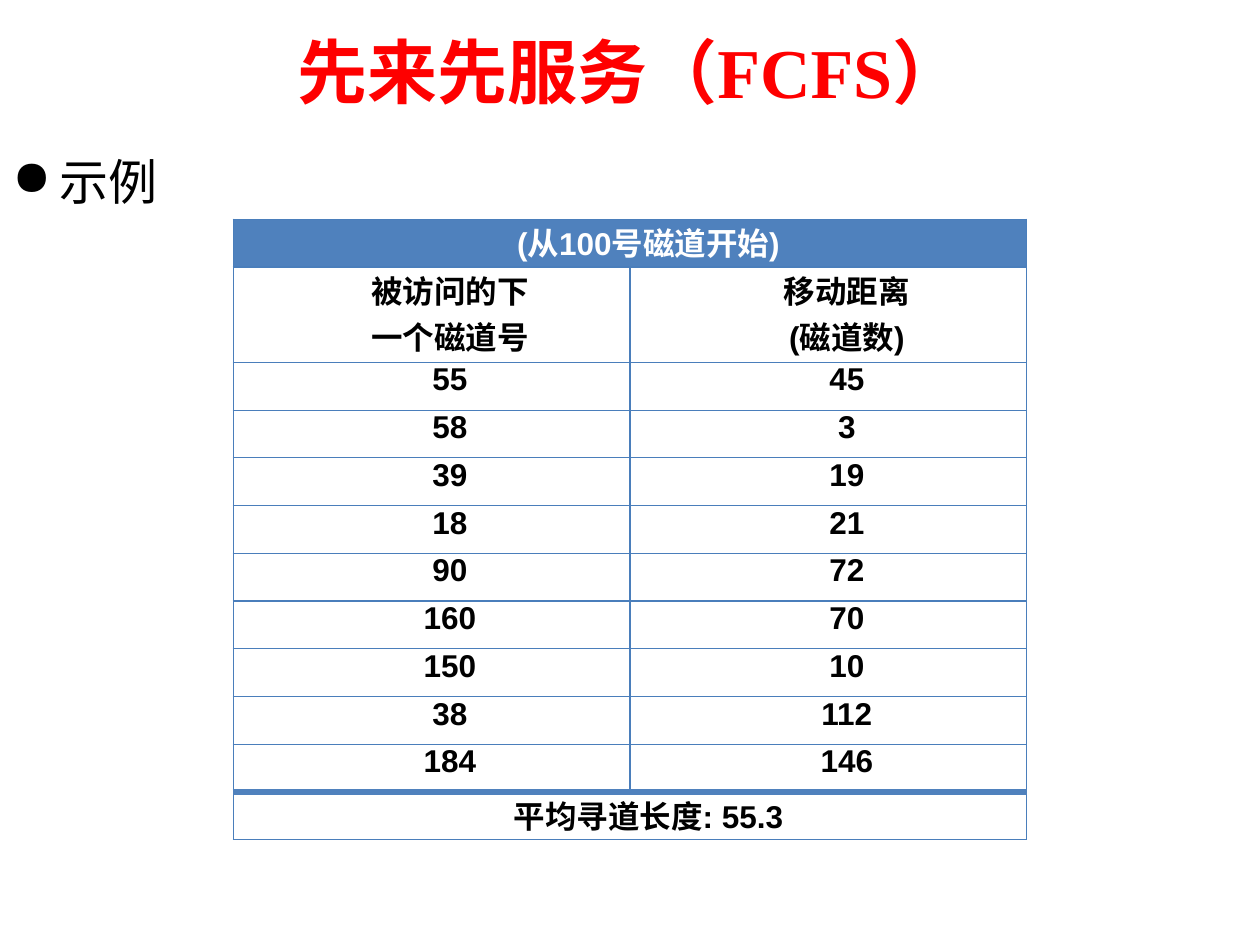
from lxml import etree
from pptx import Presentation
from pptx.dml.color import RGBColor
from pptx.enum import text
from pptx.oxml import ns
from pptx.util import Pt

COLORS = {"title": "FE0000", "ink": "000000", "header": "4F81BD",
          "header_text": "FFFFFF", "grid": "4A7EBB"}


def style(paragraph, size, font, color, bold):
    for run in paragraph.runs:
        run.font.size = Pt(size)
        run.font.name = font
        run.font.bold = bold
        run.font.color.rgb = RGBColor.from_string(COLORS[color])


def add_border(cell, position, side, color, width):
    props = cell._tc.get_or_add_tcPr()
    line = etree.Element(ns.qn(f"a:ln{side}"), w=str(Pt(width)))
    fill = etree.SubElement(line, ns.qn("a:solidFill"))
    etree.SubElement(fill, ns.qn("a:srgbClr"), val=COLORS[color])
    props.insert(position, line)


prs = Presentation()
prs.slide_width, prs.slide_height = Pt(720), Pt(540)
slide = prs.slides.add_slide(prs.slide_layouts[6])

title = slide.shapes.add_textbox(Pt(36), Pt(3.6), Pt(648), Pt(73.4)).text_frame
title.word_wrap = True
title.vertical_anchor = text.MSO_ANCHOR.MIDDLE
title.text = "先来先服务（FCFS）"
title.paragraphs[0].alignment = text.PP_ALIGN.CENTER
style(title.paragraphs[0], 40, "Times New Roman", "title", True)

example = slide.shapes.add_textbox(Pt(0), Pt(82.8), Pt(720), Pt(399.6)).text_frame
example.word_wrap = True
example.text = "示例"
bullet = example.paragraphs[0]
bullet.space_before, bullet.space_after = Pt(5.6), Pt(2.8)
style(bullet, 28, "Times New Roman", "ink", False)
bullet_props = bullet._p.get_or_add_pPr()
bullet_props.set("marL", str(Pt(27)))
bullet_props.set("indent", str(Pt(-27)))
etree.SubElement(bullet_props, ns.qn("a:buChar"), char="●")

seeks = [(55, 45), (58, 3), (39, 19), (18, 21), (90, 72),
         (160, 70), (150, 10), (38, 112), (184, 146)]
rows = [("(从100号磁道开始)", ""),
        ("被访问的下\n一个磁道号", "移动距离\n(磁道数)"),
        *seeks,
        ("平均寻道长度: 55.3", "")]
last = len(rows) - 1
row_height = 27.28

table = slide.shapes.add_table(len(rows), 2, Pt(133.2), Pt(125.3),
                               Pt(453.6), Pt(row_height * (len(rows) + 1))).table
table.horz_banding = False
for r, values in enumerate(rows):
    table.rows[r].height = Pt(row_height * (2 if r == 1 else 1))
    for c, value in enumerate(values):
        cell = table.cell(r, c)
        cell.margin_left = cell.margin_right = Pt(5)
        cell.margin_top = cell.margin_bottom = Pt(0)
        cell.text_frame.text = str(value)
        for paragraph in cell.text_frame.paragraphs:
            paragraph.alignment = text.PP_ALIGN.CENTER
            paragraph._p.get_or_add_pPr().set("marL", "0")
            paragraph._p.get_or_add_pPr().set("indent", str(Pt(21)))
            style(paragraph, 18, "Arial", "ink" if r else "header_text", True)
        if r == 0:
            cell.fill.solid()
            cell.fill.fore_color.rgb = RGBColor.from_string(COLORS["header"])
        else:
            cell.fill.background()
        for position, side in enumerate("LRTB"):
            thick = (r, side) in ((last - 1, "B"), (last, "T"))
            add_border(cell, position, side, "header" if thick else "grid",
                       4 if thick else 0.75)
for r in (0, last):
    table.cell(r, 0).merge(table.cell(r, 1))

prs.save("out.pptx")
